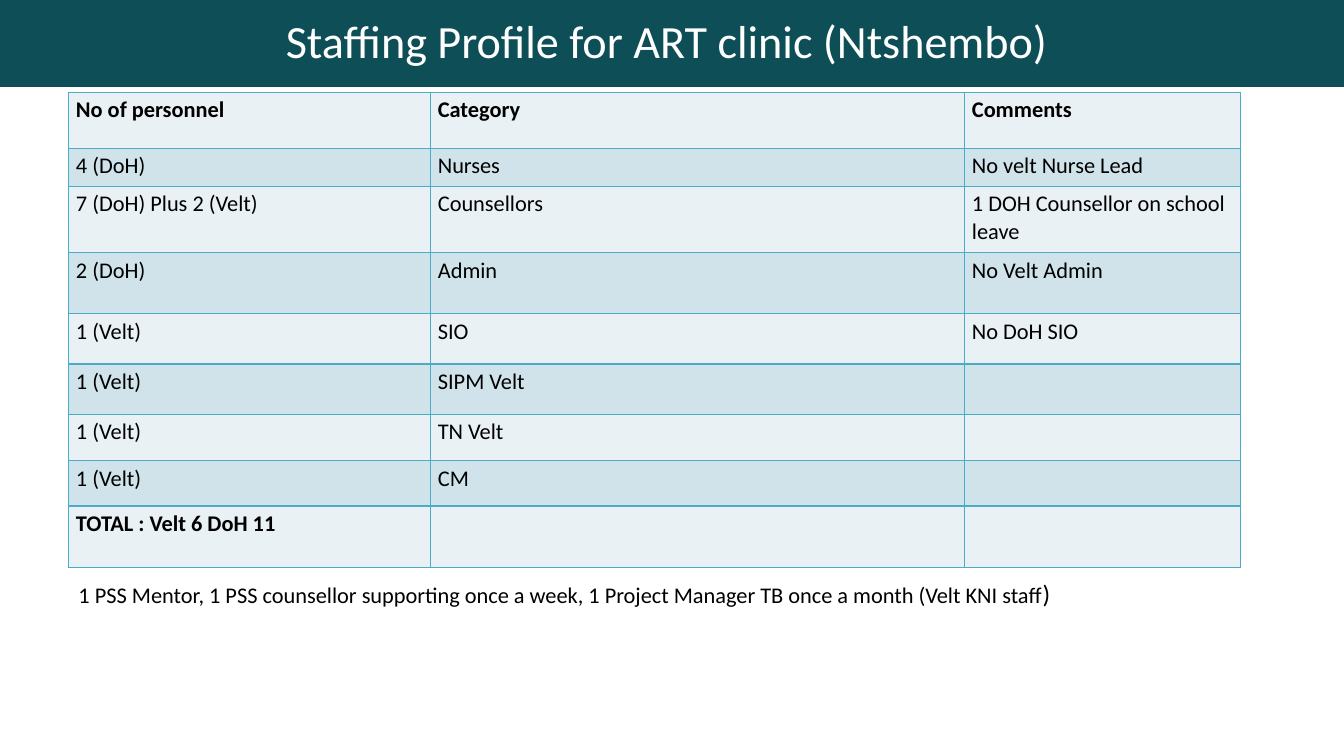
from dataclasses import dataclass

from lxml.etree import SubElement
from pptx import Presentation
from pptx.dml.color import RGBColor as RGB
from pptx.enum.text import MSO_ANCHOR as Anchor, MSO_AUTO_SIZE as AutoSize, PP_ALIGN as Align
from pptx.oxml.ns import qn
from pptx.util import Pt

TITLE = "Staffing Profile for ART clinic (Ntshembo) "
STAFF = [
    ("No of personnel", "Category", "Comments"),
    ("4 (DoH)", "Nurses", "No velt Nurse Lead"),
    ("7 (DoH) Plus 2 (Velt)", "Counsellors", "1 DOH Counsellor on school leave"),
    ("2 (DoH)", "Admin", "No Velt Admin"),
    ("1 (Velt)", "SIO", "No DoH SIO"),
    ("1 (Velt)", "SIPM Velt", ""),
    ("1 (Velt)", "TN Velt", ""),
    ("1 (Velt)", "CM", ""),
    ("TOTAL : Velt 6 DoH 11", "", ""),
]
SUPPORT = ("1 PSS Mentor, 1 PSS counsellor supporting once a week, "
           "1 Project Manager TB once a month (Velt KNI staff")
SUPPORT_END = ") "

COLUMN_WIDTHS = (258.5, 381.5, 197)
ROW_HEIGHTS = (40, 27, 47.5, 43.5, 36, 36, 33, 32.5, 44)
SLIDE_WIDTH, SLIDE_HEIGHT = 960, 540
TITLE_HEIGHT = 62
LEFT, TABLE_TOP, SUPPORT_TOP = 49, 66, 409.5
CONTENT_WIDTH = sum(COLUMN_WIDTHS)


@dataclass(frozen=True)
class Theme:
    font: str = "Calibri"
    title_size: int = 33
    body_size: int = 16
    end_size: int = 18
    banner: str = "0E4F57"
    title_text: str = "FFFFFF"
    text: str = "000000"
    border: str = "4BACC6"
    bands: tuple = ("E9F1F5", "D0E3EA")


THEME = Theme()


def set_font(font, size, color, bold=False):
    font.name, font.size, font.bold = THEME.font, Pt(size), bold
    font.color.rgb = RGB.from_string(color)


def paint(fill, color):
    fill.solid()
    fill.fore_color.rgb = RGB.from_string(color)


def add_borders(cell):
    """Outline all four sides; the lines must precede the fill in the XML."""
    properties = cell._tc.get_or_add_tcPr()
    for side in ("lnL", "lnR", "lnT", "lnB"):
        line = SubElement(properties, qn(f"a:{side}"), w=str(Pt(1)))
        SubElement(SubElement(line, qn("a:solidFill")), qn("a:srgbClr"), val=THEME.border)


def add_title(slide):
    title = slide.shapes.title
    title.left, title.top = Pt(0), Pt(0)
    title.width, title.height = Pt(SLIDE_WIDTH), Pt(TITLE_HEIGHT)
    paint(title.fill, THEME.banner)
    title.text_frame.text = TITLE
    title.text_frame.vertical_anchor = Anchor.MIDDLE
    heading = title.text_frame.paragraphs[0]
    heading.alignment, heading.line_spacing = Align.CENTER, 0.9
    set_font(heading.font, THEME.title_size, THEME.title_text)


def add_staff_table(slide):
    staff = slide.shapes.add_table(
        len(STAFF), len(COLUMN_WIDTHS), Pt(LEFT), Pt(TABLE_TOP),
        Pt(CONTENT_WIDTH), Pt(sum(ROW_HEIGHTS))).table
    staff.first_row = staff.horz_banding = False
    for column, width in zip(staff.columns, COLUMN_WIDTHS):
        column.width = Pt(width)
    for index, (row, height, entries) in enumerate(zip(staff.rows, ROW_HEIGHTS, STAFF)):
        row.height = Pt(height)
        for cell, entry in zip(row.cells, entries):
            cell.text = entry
            cell.margin_left = cell.margin_right = Pt(5.3)
            cell.margin_top = cell.margin_bottom = Pt(3)
            add_borders(cell)
            paint(cell.fill, THEME.bands[index % 2])
            set_font(cell.text_frame.paragraphs[0].font, THEME.body_size, THEME.text,
                     bold=index in (0, len(STAFF) - 1))


def add_support_line(slide):
    frame = slide.shapes.add_textbox(
        Pt(LEFT), Pt(SUPPORT_TOP), Pt(CONTENT_WIDTH), Pt(29)).text_frame
    frame.word_wrap, frame.auto_size = True, AutoSize.SHAPE_TO_FIT_TEXT
    support = frame.paragraphs[0]
    support.alignment = Align.JUSTIFY
    for words, size in ((SUPPORT, THEME.body_size), (SUPPORT_END, THEME.end_size)):
        run = support.add_run()
        run.text = words
        set_font(run.font, size, THEME.text)


def main():
    deck = Presentation()
    deck.slide_width, deck.slide_height = Pt(SLIDE_WIDTH), Pt(SLIDE_HEIGHT)
    slide = deck.slides.add_slide(deck.slide_layouts[5])
    add_title(slide)
    add_staff_table(slide)
    add_support_line(slide)
    deck.save("out.pptx")


if __name__ == "__main__":
    main()
